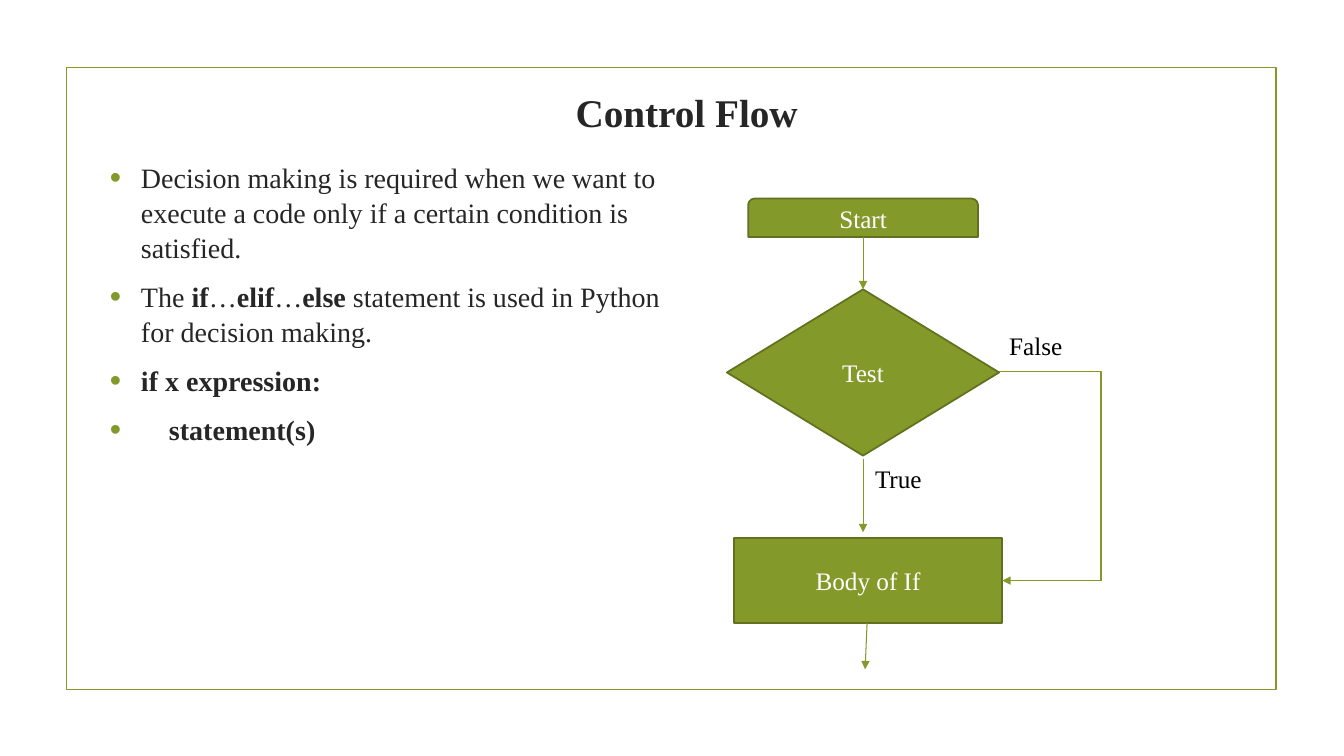
from lxml import etree
from pptx import Presentation
from pptx.dml.color import RGBColor
from pptx.enum.shapes import MSO_CONNECTOR, MSO_SHAPE
from pptx.enum.text import MSO_ANCHOR, PP_ALIGN
from pptx.oxml.ns import qn
from pptx.util import Pt

PX = 9144  # 100 px to the inch
FONT = "Times New Roman"
OLIVE = RGBColor(0x83, 0x99, 0x2A)
MOSS = RGBColor(0x61, 0x71, 0x1F)
INK = RGBColor(0x26, 0x26, 0x26)
BLACK = RGBColor(0, 0, 0)
WHITE = RGBColor(0xFF, 0xFF, 0xFF)
RECT, DIAMOND = MSO_SHAPE.RECTANGLE, MSO_SHAPE.DIAMOND
ROUND = MSO_SHAPE.ROUND_2_SAME_RECTANGLE
LINE, ELBOW = MSO_CONNECTOR.STRAIGHT, MSO_CONNECTOR.ELBOW
MIDDLE, CENTER = MSO_ANCHOR.MIDDLE, PP_ALIGN.CENTER

POINTS = [
    [("Decision making is required when we want to execute a code "
      "only if a certain condition is satisfied.", False)],
    [("The ", False), ("if", True), ("…", False), ("elif", True),
     ("…", False), ("else", True),
     (" statement is used in Python for decision making.", False)],
    [("if x expression:", True)],
    [("    statement(s)", True)],
]


def emu(*sizes):
    return [size * PX for size in sizes]


def style(para, size, color, bold=None):
    font = para.font
    font.name, font.size, font.bold = FONT, Pt(size), bold
    font.color.rgb = color


def add_text(slide, box, text, size, color, bold=None):
    frame = slide.shapes.add_textbox(*emu(*box)).text_frame
    frame.word_wrap = True
    para = frame.paragraphs[0]
    para.text = text
    style(para, size, color, bold)
    return frame


def add_frame(slide, box):
    """Draw the border around the slide's content."""
    rect = slide.shapes.add_shape(RECT, *emu(*box))
    rect.shadow.inherit = False
    rect.fill.background()
    rect.line.color.rgb = OLIVE
    rect.line.width = Pt(1.25)


def add_title(slide, box, text):
    frame = add_text(slide, box, text, 28, INK, True)
    frame.vertical_anchor = MIDDLE
    frame.paragraphs[0].alignment = CENTER


def add_bullet(para):
    props = para._p.get_or_add_pPr()
    props.set("marL", str(31 * PX))
    props.set("indent", str(-31 * PX))
    color = etree.SubElement(props, qn("a:buClr"))
    etree.SubElement(color, qn("a:srgbClr"), val=str(OLIVE))
    etree.SubElement(props, qn("a:buSzPct"), val="115000")
    etree.SubElement(props, qn("a:buFont"), typeface="Arial")
    etree.SubElement(props, qn("a:buChar"), char="•")


def add_points(slide, box, points):
    frame = slide.shapes.add_textbox(*emu(*box)).text_frame
    frame.word_wrap = True
    for i, runs in enumerate(points):
        para = frame.add_paragraph() if i else frame.paragraphs[0]
        para.line_spacing = 1.04
        para.space_before, para.space_after = Pt(4), Pt(6)
        add_bullet(para)
        style(para, 20, INK)
        for text, bold in runs:
            run = para.add_run()
            run.text, run.font.bold = text, bold


def add_node(slide, kind, box, text):
    node = slide.shapes.add_shape(kind, *emu(*box))
    node.shadow.inherit = False
    node.fill.solid()
    node.fill.fore_color.rgb = OLIVE
    node.line.color.rgb = MOSS
    node.line.width = Pt(1.25)
    frame = node.text_frame
    frame.vertical_anchor = MIDDLE
    para = frame.paragraphs[0]
    para.text, para.alignment = text, CENTER
    style(para, 18, WHITE)


def add_link(slide, ends, kind=LINE, arrow=True):
    link = slide.shapes.add_connector(kind, *emu(*ends))
    link.line.color.rgb = OLIVE
    link.line.width = Pt(0.75)
    props = link._element.spPr
    if kind == ELBOW:
        props.find(qn("a:prstGeom")).set("prst", "bentConnector2")
    if arrow:
        etree.SubElement(link.line._get_or_add_ln(), qn("a:tailEnd"),
                         type="triangle")
    etree.SubElement(props, qn("a:effectLst"))


def add_flow(slide, box):
    """Draw the chart of the if statement from the box's top left corner."""
    left, top, width, height = box
    mid, right = left + 135, left + width
    test, body = top + 172, top + 379
    add_node(slide, ROUND, (left + 21, top, 228, 38), "Start")
    add_node(slide, DIAMOND, (left, top + 90, 270, 165), "Test")
    add_node(slide, RECT, (left + 7, top + 337, 266, 84), "Body of If")
    add_link(slide, (mid, top + 38, mid, top + 90))
    add_link(slide, (mid, top + 258, mid, top + 331))
    add_link(slide, (left + 270, test, right, body), ELBOW, False)
    add_link(slide, (right, body, left + 273, body))
    add_link(slide, (mid + 4, top + 421, mid + 2, top + height))
    add_text(slide, (left + 270, top + 126, 98, 48), "False", 18, BLACK)
    add_text(slide, (mid + 2, top + 258, 98, 48), "True", 18, BLACK)


def main():
    deck = Presentation()
    deck.slide_width, deck.slide_height = emu(1333, 750)
    slide = deck.slides.add_slide(deck.slide_layouts[6])
    add_frame(slide, (66, 67, 1200, 617))
    add_points(slide, (99, 153, 581, 465), POINTS)
    add_title(slide, (537, 78, 288, 66), "Control Flow")
    add_flow(slide, (721, 197, 371, 467))
    deck.save("out.pptx")


if __name__ == "__main__":
    main()
